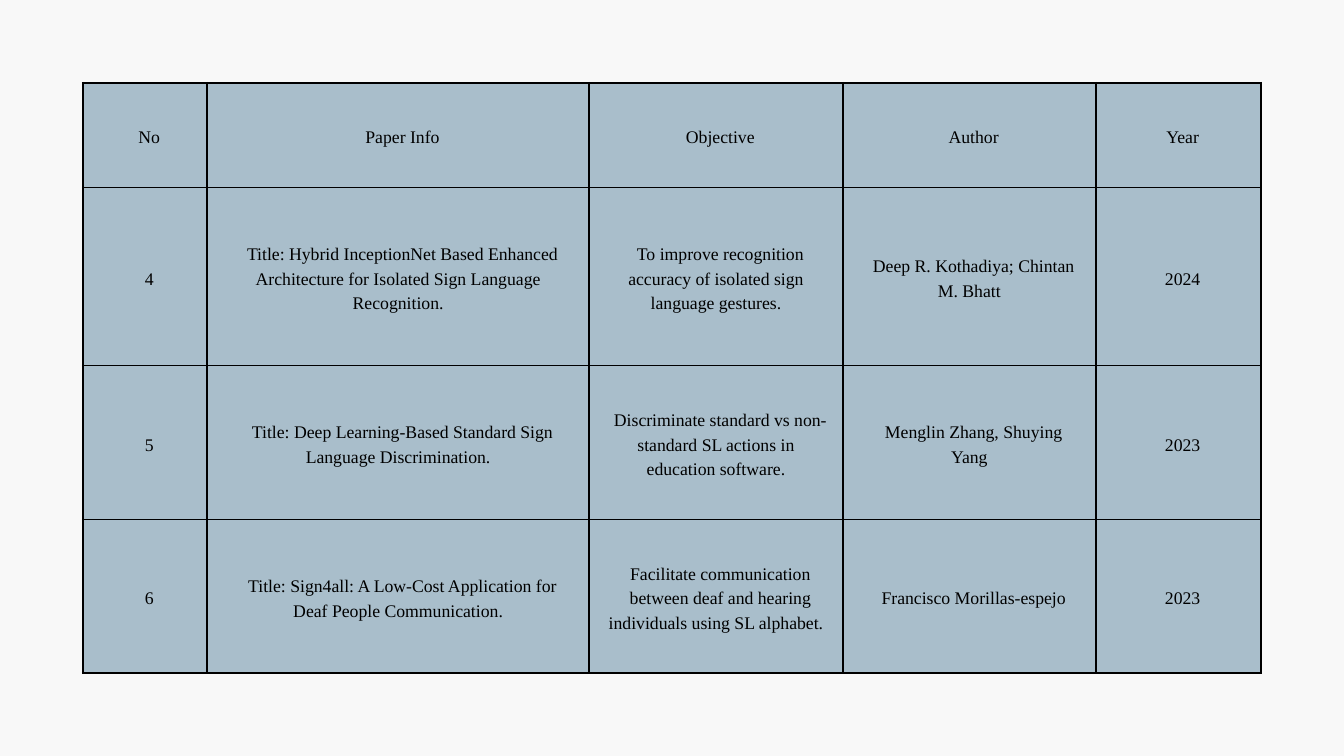
"""Build a literature survey table slide."""
from dataclasses import astuple, dataclass

from lxml import etree
from pptx import Presentation
from pptx import util as u
from pptx.dml.color import RGBColor
from pptx.enum import text
from pptx.oxml.ns import qn

COLORS = {"background": "F8F8F8", "cell": "A9BECB", "ink": "000000"}
FONT = "Times New Roman"
COL_WIDTHS = [1.85, 5.69, 3.77, 3.77, 2.45]
ROW_HEIGHTS = [1.56, 2.65, 2.29, 2.29]


@dataclass
class Paper:
    no: str
    info: str
    objective: str
    author: str
    year: str


PAPERS = [
    Paper("No", "Paper Info", "Objective", "Author", "Year"),
    Paper("4",
          "Title: Hybrid InceptionNet Based Enhanced Architecture for "
          "Isolated Sign Language Recognition.",
          "To improve recognition accuracy of isolated sign language gestures.",
          "Deep R. Kothadiya; Chintan M. Bhatt", "2024"),
    Paper("5",
          "Title: Deep Learning-Based Standard Sign Language Discrimination.",
          "Discriminate standard vs non-standard SL actions in education software.",
          "Menglin Zhang, Shuying Yang", "2023"),
    Paper("6",
          "Title: Sign4all: A Low-Cost Application for Deaf People Communication.",
          "Facilitate communication\n"
          "between deaf and hearing individuals using SL alphabet.",
          "Francisco Morillas-espejo", "2023"),
]


def write(tf, content: str, *, size: float, color: str, spacing: float,
          indent: float) -> None:
    """Write centred paragraphs, one for each line of content."""
    for i, line in enumerate(content.split("\n")):
        p = tf.paragraphs[0] if i == 0 else tf.add_paragraph()
        p.alignment = text.PP_ALIGN.CENTER
        p.line_spacing = u.Pt(spacing)
        pPr = p._p.get_or_add_pPr()
        pPr.set("marL", "0")
        pPr.set("indent", str(u.Inches(indent)))
        r = p.add_run()
        r.text = line
        r.font.name = FONT
        r.font.size = u.Pt(size)
        r.font.color.rgb = RGBColor.from_string(color)


def add_borders(cell, *, width: float, color: str) -> None:
    """Draw a solid line on all four sides of a cell."""
    tcPr = cell._tc.get_or_add_tcPr()
    for side in ("a:lnL", "a:lnR", "a:lnT", "a:lnB"):
        ln = etree.SubElement(tcPr, qn(side), w=str(u.Pt(width)))
        fill = etree.SubElement(ln, qn("a:solidFill"))
        etree.SubElement(fill, qn("a:srgbClr"), val=color)


def style_cell(cell) -> None:
    """Set the borders, fill, margins and anchor of a cell."""
    add_borders(cell, width=2.25, color=COLORS["ink"])
    cell.fill.solid()
    cell.fill.fore_color.rgb = RGBColor.from_string(COLORS["cell"])
    cell.vertical_anchor = text.MSO_ANCHOR.MIDDLE
    for side in ("left", "right", "top", "bottom"):
        setattr(cell, f"margin_{side}", u.Inches(0.21))


def add_paper_table(s, papers: list[Paper]) -> None:
    """Add the table with one row for each paper."""
    frame = s.shapes.add_table(
        len(ROW_HEIGHTS), len(COL_WIDTHS), u.Inches(1.23), u.Inches(1.23),
        u.Inches(sum(COL_WIDTHS)), u.Inches(sum(ROW_HEIGHTS)))
    table = frame.table
    table.first_row = False
    table.horz_banding = False
    for column, width in zip(table.columns, COL_WIDTHS):
        column.width = u.Inches(width)
    for row, height, paper in zip(table.rows, ROW_HEIGHTS, papers):
        row.height = u.Inches(height)
        for cell, content in zip(row.cells, astuple(paper)):
            style_cell(cell)
            write(cell.text_frame, content, size=19, color=COLORS["ink"],
                  spacing=26.6, indent=0.13)


def main() -> None:
    """Build and save the slide."""
    prs = Presentation()
    prs.slide_width = u.Inches(20)
    prs.slide_height = u.Inches(11.25)
    s = prs.slides.add_slide(prs.slide_layouts[6])
    s.background.fill.solid()
    s.background.fill.fore_color.rgb = RGBColor.from_string(COLORS["background"])
    add_paper_table(s, PAPERS)
    prs.save("out.pptx")


if __name__ == "__main__":
    main()
